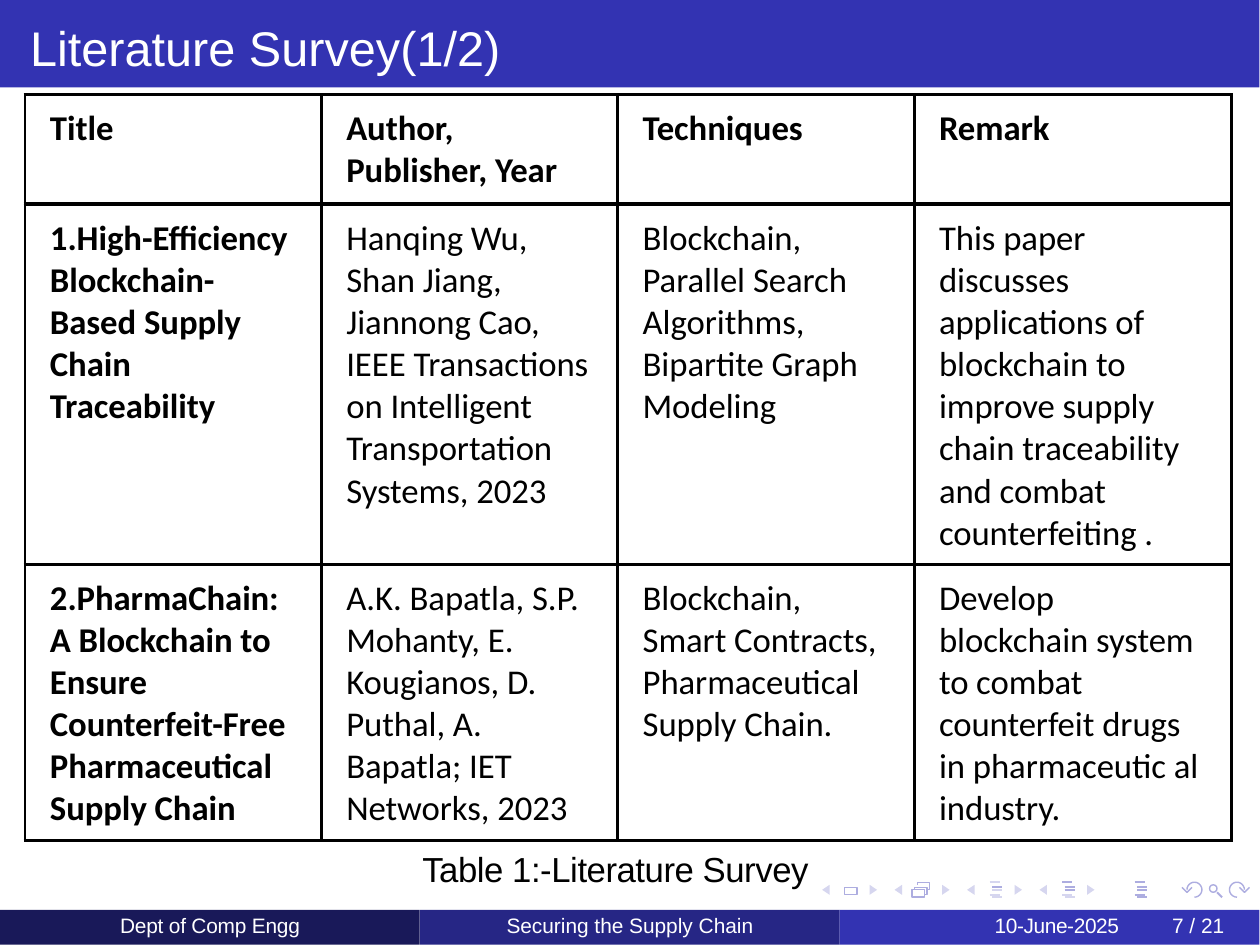
import math

import lxml.etree
import pptx
import pptx.util
import pptx.dml.color
import pptx.enum.shapes
import pptx.enum.text
import pptx.oxml
import pptx.oxml.ns

Inches, Pt = pptx.util.Inches, pptx.util.Pt
RGBColor = pptx.dml.color.RGBColor
PP_ALIGN = pptx.enum.text.PP_ALIGN
MSO_SHAPE = pptx.enum.shapes.MSO_SHAPE

BLACK = RGBColor(0x00, 0x00, 0x00)
WHITE = RGBColor(0xFF, 0xFF, 0xFF)
BLUE = RGBColor(0x33, 0x33, 0xB2)
MID_BLUE = RGBColor(0x26, 0x26, 0x85)
DARK_BLUE = RGBColor(0x19, 0x19, 0x59)
NAV = RGBColor(0xAD, 0xAD, 0xE0)
NAV_PALE = RGBColor(0xD6, 0xD6, 0xEF)

WIDTH, HEIGHT = 5.04, 3.78
TITLE_HEIGHT, FOOTER_HEIGHT = 0.35, 0.14
FOOTER_TOP = HEIGHT - FOOTER_HEIGHT
THIRD = WIDTH / 3

presentation = pptx.Presentation()
presentation.slide_width = Pt(363)
presentation.slide_height = Pt(272.5)
slide = presentation.slides.add_slide(presentation.slide_layouts[6])
shapes = slide.shapes


def style(shape, fill=None, line=None, width=0.4):
    shape.shadow.inherit = False
    if fill is None:
        shape.fill.background()
    else:
        shape.fill.solid()
        shape.fill.fore_color.rgb = fill
    if line is None:
        shape.line.fill.background()
    else:
        shape.line.color.rgb = line
        shape.line.width = Pt(width)


def outline(points, closed=False, **look):
    """Draw a freeform through points given in inches."""
    corners = [(Inches(x), Inches(y)) for x, y in points]
    builder = shapes.build_freeform(*corners[0], scale=1.0)
    builder.add_line_segments(corners[1:], close=closed)
    style(builder.convert_to_shape(), **look)


# Navigation symbols: a pair of arrows around each of four icons
NAV_LEFT, NAV_STEP, NAV_TOP = 3.29, 0.29, 3.54
for step in range(4):
    left = NAV_LEFT + step * NAV_STEP
    for base, tip in ((left + 0.03, left), (left + 0.19, left + 0.22)):
        outline([(base, NAV_TOP), (tip, NAV_TOP + 0.02), (base, NAV_TOP + 0.04)],
                closed=True, fill=NAV_PALE)

for left, top in ((3.38, 3.55), (3.65, 3.56)):
    frame = shapes.add_shape(MSO_SHAPE.RECTANGLE, Inches(left), Inches(top),
                             Inches(0.05), Inches(0.03))
    style(frame, line=NAV)
for left, top in ((3.66, 3.55), (3.67, 3.53)):
    outline([(left, top + 0.01), (left, top), (left + 0.05, top),
             (left + 0.05, top + 0.03), (left + 0.04, top + 0.03)], line=NAV)

strokes = [(4.87, 3.57, 4.89, 3.59, NAV)]
BAR_ROWS = [(0, 3.53), (0.01, 3.55), (0.01, 3.56), (0, 3.58), (0.01, 3.59)]
for left, dark_rows in ((3.96, {1}), (4.25, {0, 1, 2}), (4.54, {0, 1, 2, 3, 4})):
    for row, (indent, y) in enumerate(BAR_ROWS):
        strokes.append((left + indent, y, left + indent + 0.04, y,
                        NAV if row in dark_rows else NAV_PALE))
for x1, y1, x2, y2, color in strokes:
    stroke = shapes.add_connector(pptx.enum.shapes.MSO_CONNECTOR.STRAIGHT,
                                  Inches(x1), Inches(y1), Inches(x2), Inches(y2))
    stroke.line.color.rgb = color
    stroke.line.width = Pt(0.6)
    lxml.etree.SubElement(stroke._element.spPr, pptx.oxml.ns.qn("a:effectLst"))

lens = shapes.add_shape(MSO_SHAPE.OVAL, Inches(4.84), Inches(3.54),
                        Inches(0.03), Inches(0.03))
style(lens, line=NAV)

RADIUS, TURN_Y = 0.03, 3.56
for center, side in ((4.78, 1), (4.95, -1)):
    outline([(center + side * RADIUS * math.cos(math.radians(angle)),
              TURN_Y + RADIUS * math.sin(math.radians(angle)))
             for angle in range(90, -181, -15)], line=NAV)
    tip = center - side * RADIUS
    outline([(tip + 0.02, 3.55), (tip, 3.57), (tip - 0.02, 3.55)], line=NAV)

# Title bar and footer bands
for left, top, width, height, color in (
        (0, 0, WIDTH, TITLE_HEIGHT, BLUE),
        (0, FOOTER_TOP, THIRD, FOOTER_HEIGHT, DARK_BLUE),
        (THIRD, FOOTER_TOP, THIRD, FOOTER_HEIGHT, MID_BLUE),
        (2 * THIRD, FOOTER_TOP, THIRD, FOOTER_HEIGHT, BLUE)):
    band = shapes.add_shape(MSO_SHAPE.RECTANGLE, Inches(left), Inches(top),
                            Inches(width), Inches(height))
    style(band, fill=color)

# Letter spacing is in hundredths of a point
for text, left, top, width, height, inset, size, color, align, spacing in (
        ("Literature Survey(1/2)", 0.12, 0.05, 1.95, 0.27, 0.02, 14, WHITE,
         PP_ALIGN.LEFT, 0),
        ("Table 1:-Literature Survey", 1.69, 3.38, 1.6, 0.19, 0.01, 10, BLACK,
         PP_ALIGN.LEFT, -10),
        ("Dept of Comp Engg", 0, FOOTER_TOP, THIRD, 0.13, 0.01, 6, WHITE,
         PP_ALIGN.CENTER, -5),
        ("Securing the Supply Chain", THIRD, FOOTER_TOP, THIRD, 0.13, 0.01, 6, WHITE,
         PP_ALIGN.CENTER, 0),
        ("10-June-2025", 3.98, FOOTER_TOP, 0.55, 0.13, 0.01, 6, WHITE,
         PP_ALIGN.LEFT, -10),
        ("7 / 21", 4.69, FOOTER_TOP, 0.28, 0.13, 0.01, 6, WHITE, PP_ALIGN.LEFT, 0)):
    label = shapes.add_textbox(Inches(left), Inches(top), Inches(width), Inches(height))
    frame = label.text_frame
    frame.word_wrap = True
    frame.margin_left = frame.margin_right = frame.margin_bottom = 0
    frame.margin_top = Inches(inset)
    paragraph = frame.paragraphs[0]
    paragraph.text = text
    paragraph.alignment = align
    paragraph.font.name = "Arial"
    paragraph.font.size = Pt(size)
    paragraph.font.color.rgb = color
    paragraph.runs[0]._r.get_or_add_rPr().set("spc", str(spacing))

# Survey table, with its heading row as a table of its own
HEADINGS = [("Title", "Author, Publisher, Year", "Techniques", "Remark")]
PAPERS = [
    ("1.High-Efficiency Blockchain-Based Supply Chain Traceability",
     "Hanqing Wu, Shan Jiang, Jiannong Cao, IEEE Transactions on Intelligent "
     "Transportation Systems, 2023",
     "Blockchain, Parallel Search Algorithms, Bipartite Graph Modeling",
     "This paper discusses applications of blockchain to improve supply chain "
     "traceability and combat counterfeiting ."),
    ("2.PharmaChain: A Blockchain to Ensure Counterfeit-Free Pharmaceutical Supply Chain",
     "A.K. Bapatla, S.P. Mohanty, E. Kougianos, D. Puthal, A. Bapatla; IET Networks, 2023",
     "Blockchain, Smart Contracts, Pharmaceutical Supply Chain.",
     "Develop blockchain system to combat counterfeit drugs in pharmaceutic al industry."),
]
COLUMN_WIDTHS = [Pt(85.4)] * 3 + [Pt(91.6)]
BORDER = ('<a:{side} xmlns:a="http://schemas.openxmlformats.org/drawingml/2006/main" '
          'w="12700"><a:solidFill><a:srgbClr val="{color}"/></a:solidFill></a:{side}>')

for entries, top, row_heights in ((PAPERS, 0.82, [1.44, 1.1]), (HEADINGS, 0.38, [0.43])):
    table = shapes.add_table(len(entries), len(COLUMN_WIDTHS), Inches(0.1), Inches(top),
                             sum(COLUMN_WIDTHS), Inches(sum(row_heights))).table
    table.first_row = table.horz_banding = False
    for column, width in zip(table.columns, COLUMN_WIDTHS):
        column.width = width
    for row, height, texts in zip(table.rows, row_heights, entries):
        row.height = Inches(height)
        for index, (cell, text) in enumerate(zip(row.cells, texts)):
            properties = cell._tc.get_or_add_tcPr()
            for side in ("lnL", "lnR", "lnT", "lnB"):
                properties.append(pptx.oxml.parse_xml(BORDER.format(side=side, color=BLACK)))
            cell.fill.background()
            paragraph = cell.text_frame.paragraphs[0]
            paragraph.text = text
            paragraph.font.name = "Calibri"
            paragraph.font.size = Pt(10)
            paragraph.font.bold = entries is HEADINGS or index == 0
            paragraph.font.color.rgb = BLACK

presentation.save("out.pptx")
